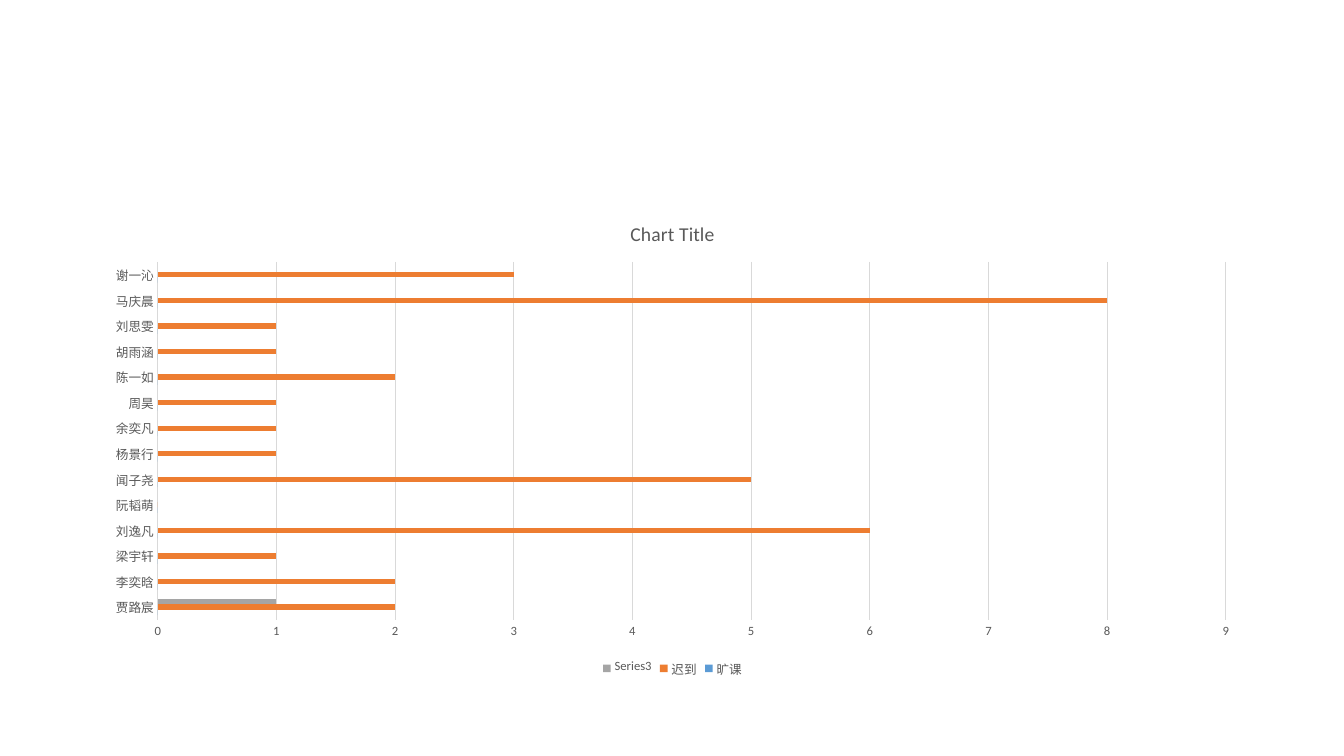
"""Builds a slide with a bar chart of late arrivals and absences per student."""
from pptx import Presentation
from pptx.chart.data import CategoryChartData
from pptx.dml.color import RGBColor
from pptx.enum.chart import XL_CHART_TYPE, XL_LEGEND_POSITION, XL_TICK_MARK
from pptx.util import Inches, Pt

COLORS = {"text": "595959", "grid": "D9D9D9",
          "旷课": "5B9BD5", "迟到": "ED7D31", "Series3": "A5A5A5"}
FONT = "Calibri"


def style_font(font, size=9, color="text"):
    font.name = FONT
    font.size = Pt(size)
    font.bold = False
    font.color.rgb = RGBColor.from_string(COLORS[color])


def write_text(frame, text, **font_format):
    run = frame.paragraphs[0].add_run()
    run.text = text
    style_font(run.font, **font_format)


presentation = Presentation()
presentation.slide_width = Inches(13.33)
presentation.slide_height = Inches(7.5)
slide = presentation.slides.add_slide(presentation.slide_layouts[6])

late_counts = {"贾路宸": 2, "李奕晗": 2, "梁宇轩": 1, "刘逸凡": 6, "阮韬萌": 0,
               "闻子尧": 5, "杨景行": 1, "余奕凡": 1, "周昊": 1, "陈一如": 2,
               "胡雨涵": 1, "刘思雯": 1, "马庆晨": 8, "谢一沁": 3}
attendance = CategoryChartData()
attendance.categories = list(late_counts)
attendance.add_series("旷课", [0] * len(late_counts))
attendance.add_series("迟到", list(late_counts.values()))
attendance.add_series("Series3", [1] + [None] * (len(late_counts) - 1))

chart = slide.shapes.add_chart(
    XL_CHART_TYPE.BAR_CLUSTERED, Inches(0.92), Inches(2), Inches(11.5), Inches(4.76),
    attendance).chart
style_font(chart.font, size=10)
chart.has_title = True
write_text(chart.chart_title.text_frame, "Chart Title", size=14)
chart.chart_title.include_in_layout = False

chart.has_legend = True
chart.legend.position = XL_LEGEND_POSITION.BOTTOM
chart.legend.include_in_layout = False
style_font(chart.legend.font)

bars = chart.plots[0]
bars.gap_width = 182
bars.vary_by_categories = False
for series in bars.series:
    series.invert_if_negative = False
    series.format.fill.solid()
    series.format.fill.fore_color.rgb = RGBColor.from_string(COLORS[series.name])

students, counts = chart.category_axis, chart.value_axis
for axis in (students, counts):
    axis.major_tick_mark = axis.minor_tick_mark = XL_TICK_MARK.NONE
    style_font(axis.tick_labels.font)
students.has_major_gridlines = False
counts.has_major_gridlines = True
counts.minimum_scale = 0
counts.maximum_scale = 9
counts.major_unit = 1
counts.format.line.fill.background()
for line in (students.format.line, counts.major_gridlines.format.line):
    line.color.rgb = RGBColor.from_string(COLORS["grid"])
    line.width = Pt(0.75)

presentation.save("out.pptx")
